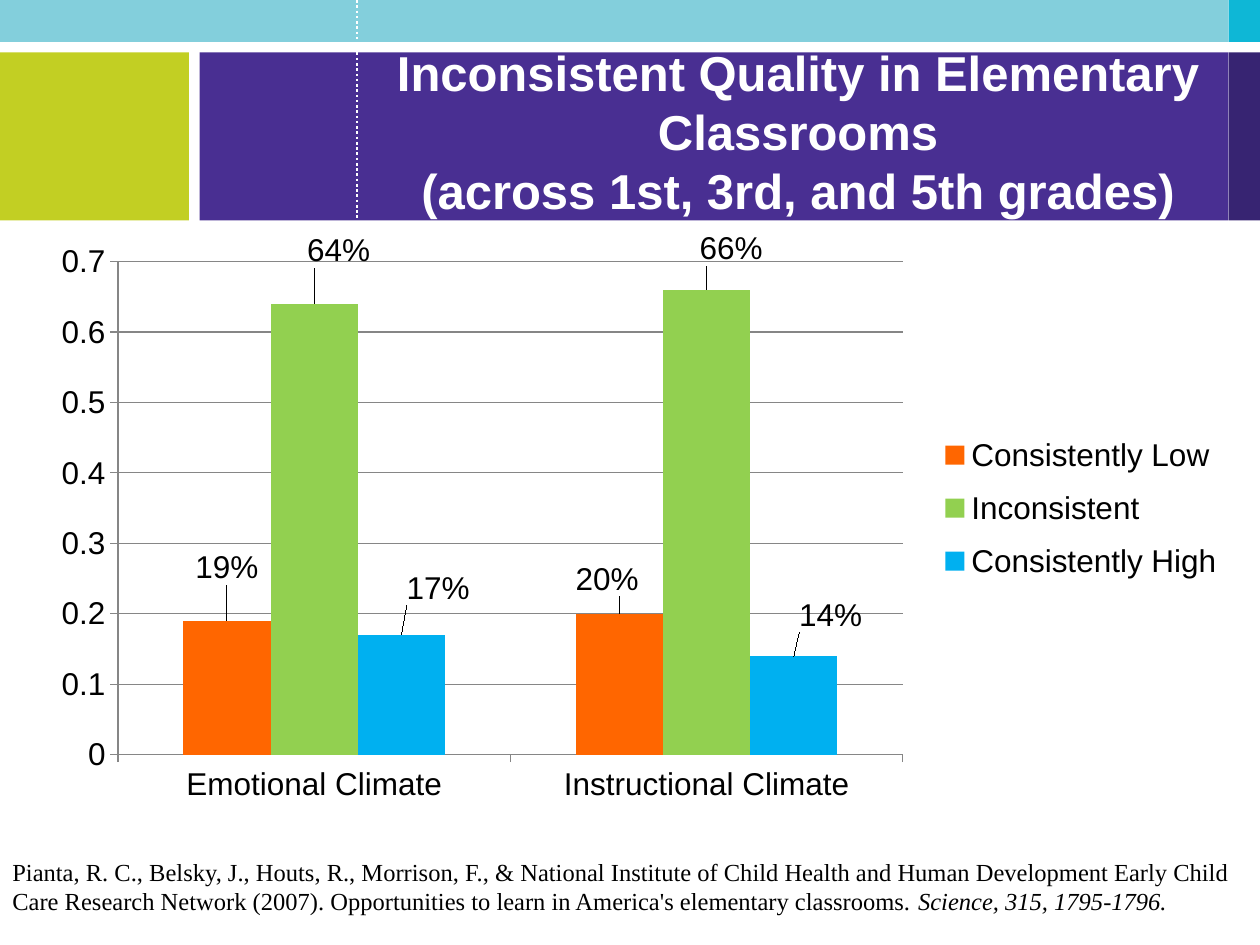
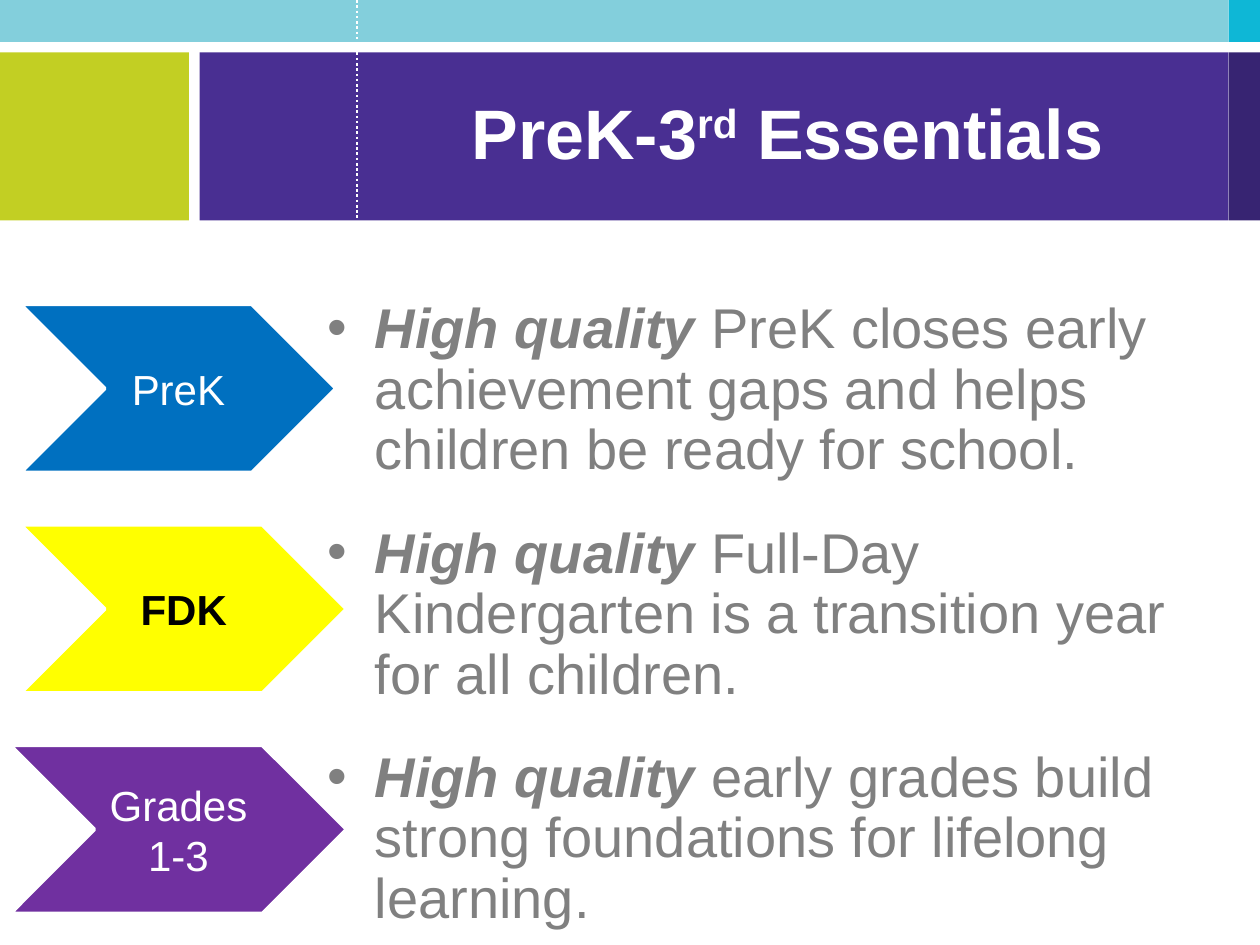
import dataclasses

import pptx
import pptx.chart.data
import pptx.dml.color
import pptx.enum.chart
import pptx.enum.dml
import pptx.enum.shapes
import pptx.enum.text
import pptx.oxml
import pptx.oxml.ns
import pptx.util

Pt = pptx.util.Pt
KIND = pptx.enum.shapes.MSO_SHAPE


@dataclasses.dataclass(frozen=True)
class Theme:
    sky: str = "83CFDC"
    cyan: str = "0EB7D6"
    night: str = "372472"
    violet: str = "492F92"
    lime: str = "C2CF23"
    white: str = "FFFFFF"
    black: str = "000000"
    grey: str = "808080"
    rule: str = "868686"
    bars: tuple = ("FF6600", "92D050", "00B0F0")
    steps: tuple = ("0070C0", "FFFF00", "7030A0")
    sans: str = "Arial"
    serif: str = "Times New Roman"
    head: int = 40
    long: int = 28
    body: int = 32
    step: int = 24
    chart: int = 18
    cite: int = 14


THEME = Theme()


@dataclasses.dataclass(frozen=True)
class Box:
    """A rectangle in points."""
    x: float
    y: float
    w: float
    h: float

    def emu(self):
        return Pt(self.x), Pt(self.y), Pt(self.w), Pt(self.h)


PAGE = Box(0, 0, 720, 540)


def rgb(code):
    return pptx.dml.color.RGBColor.from_string(code)


def style(font, size, color, face=THEME.sans, bold=False, slant=False):
    font.name, font.size = face, Pt(size)
    font.bold, font.italic = bold, slant
    font.color.rgb = rgb(color)


def move(shape, box):
    shape.left, shape.top, shape.width, shape.height = box.emu()


def block(slide, kind, box, fill, edge=None):
    shape = slide.shapes.add_shape(kind, *box.emu())
    shape.shadow.inherit = False
    shape.fill.solid()
    shape.fill.fore_color.rgb = rgb(fill)
    if edge:
        shape.line.color.rgb = rgb(edge)
        shape.line.width = Pt(2)
    else:
        shape.line.fill.background()
    return shape


def dots(slide, x, top, foot):
    line = slide.shapes.add_connector(
        pptx.enum.shapes.MSO_CONNECTOR.STRAIGHT, Pt(x), Pt(top), Pt(x), Pt(foot))
    line.line.color.rgb = rgb(THEME.white)
    line.line.width = Pt(1.5)
    line.line.dash_style = pptx.enum.dml.MSO_LINE.ROUND_DOT
    props = line.element.spPr
    props.append(props.makeelement(pptx.oxml.ns.qn("a:effectLst")))
    return line


def frame(deck, slide, box):
    """Draw the bands and hand them to the master, below its placeholders."""
    edge = box.x + box.w - 18
    top, head = box.y, box.y + 30
    bands = [
        (Box(box.x, top, edge - box.x, 24), THEME.sky),
        (Box(edge, top, 18, 24), THEME.cyan),
        (Box(edge, head, 18, 96), THEME.night),
        (Box(box.x + 114, head, edge - box.x - 114, 96), THEME.violet),
        (Box(box.x, head, 108, 96), THEME.lime),
    ]
    parts = [block(slide, KIND.RECTANGLE, *band) for band in bands]
    parts += [dots(slide, box.x + 204, y, y + h) for y, h in ((head, 96), (top, 24))]
    tree = deck.slide_master.shapes.element
    for i, part in enumerate(parts):
        part.element.xpath(".//p:cNvPr")[0].set("id", str(100 + i))
        tree.insert(2 + i, part.element)


def title(slide, box, parts, size):
    """Write the title; parts are (text, raised) pairs."""
    shape = slide.shapes.title
    move(shape, box)
    text = shape.text_frame
    text.auto_size = pptx.enum.text.MSO_AUTO_SIZE.NONE
    text.vertical_anchor = pptx.enum.text.MSO_ANCHOR.MIDDLE
    para = text.paragraphs[0]
    para.alignment = pptx.enum.text.PP_ALIGN.CENTER
    for i, (words, raised) in enumerate(parts):
        if i == 0:
            para.text = words
        else:
            para.add_run().text = words
        for run in para.runs[i:] if i else para.runs:
            style(run.font, size, THEME.white, bold=True)
            if raised:
                run._r.get_or_add_rPr().set("baseline", "30000")


def place(parent, after, x, y, w=None, h=None):
    """Insert a manual chart layout behind the named child."""
    for old in parent.findall(pptx.oxml.ns.qn("c:layout")):
        parent.remove(old)
    pairs = [("x", x), ("y", y)]
    if w:
        pairs = [("xMode", "edge"), ("yMode", "edge"), *pairs, ("w", w), ("h", h)]
        if after is None:
            pairs.insert(0, ("layoutTarget", "inner"))
    inner = "".join(f'<c:{tag} val="{val}"/>' for tag, val in pairs)
    node = pptx.oxml.parse_xml(
        f'<c:layout {pptx.oxml.ns.nsdecls("c")}>'
        f"<c:manualLayout>{inner}</c:manualLayout></c:layout>")
    if after is None:
        parent.insert(0, node)
    else:
        parent.find(pptx.oxml.ns.qn(after)).addnext(node)


def axes(chart):
    for axis in (chart.category_axis, chart.value_axis):
        axis.major_tick_mark = pptx.enum.chart.XL_TICK_MARK.OUTSIDE
        axis.format.line.color.rgb = rgb(THEME.rule)
    value = chart.value_axis
    value.minimum_scale, value.maximum_scale, value.major_unit = 0, 0.7, 0.1
    value.tick_labels.number_format = "General"
    value.tick_labels.number_format_is_linked = False
    value.major_gridlines.format.line.color.rgb = rgb(THEME.rule)


def labels(chart, shifts):
    """Show percentages, each shifted from its bar by a part of the chart."""
    for series in chart.plots[0].series:
        marks = series.data_labels
        marks.show_value = True
        marks.number_format, marks.number_format_is_linked = "0%", False
        marks.position = pptx.enum.chart.XL_LABEL_POSITION.OUTSIDE_END
        for i in range(len(series.values)):
            mark = series.points[i].data_label
            style(mark.font, THEME.chart, THEME.black)
            mark.position = marks.position
    for node, shift in zip(chart.element.xpath(".//c:dLbl"), shifts):
        place(node, "c:idx", *shift)
        form = pptx.oxml.parse_xml(
            f'<c:numFmt {pptx.oxml.ns.nsdecls("c")} formatCode="0%" sourceLinked="0"/>')
        node.find(pptx.oxml.ns.qn("c:layout")).addnext(form)


def graph(slide, box, cats, rows, shifts):
    data = pptx.chart.data.CategoryChartData()
    data.categories = cats
    for name, vals in rows:
        data.add_series(name, vals)
    chart = slide.shapes.add_chart(
        pptx.enum.chart.XL_CHART_TYPE.COLUMN_CLUSTERED, *box.emu(), data).chart
    style(chart.font, THEME.chart, THEME.black)
    chart.has_title = False
    chart.has_legend = True
    chart.legend.position = pptx.enum.chart.XL_LEGEND_POSITION.RIGHT
    chart.legend.include_in_layout = False
    style(chart.legend.font, THEME.chart, THEME.black)
    plot = chart.plots[0]
    plot.gap_width, plot.overlap, plot.vary_by_categories = 150, 0, False
    for series, color in zip(plot.series, THEME.bars):
        series.format.fill.solid()
        series.format.fill.fore_color.rgb = rgb(color)
    axes(chart)
    labels(chart, shifts)
    place(chart.element.xpath(".//c:plotArea")[0], None, 0.096, 0.05, 0.639, 0.81)
    place(chart.element.xpath(".//c:legend")[0], "c:legendPos", 0.76, 0.31, 0.24, 0.29)


def cite(slide, box, words, source):
    text = slide.shapes.add_textbox(*box.emu()).text_frame
    text.word_wrap = True
    para = text.paragraphs[0]
    para.text = words
    para.add_run().text = source
    for run, slant in zip(para.runs, (False, True)):
        style(run.font, THEME.cite, THEME.black, THEME.serif, slant=slant)


def points(slide, box, lead, items):
    shape = slide.placeholders[1]
    move(shape, box)
    text = shape.text_frame
    text.auto_size = pptx.enum.text.MSO_AUTO_SIZE.NONE
    text.text = "\n".join([lead] * len(items))
    for para, item in zip(text.paragraphs, items):
        para.line_spacing = 0.9
        para.space_after = Pt(18)
        para.add_run().text = item
        for run, strong in zip(para.runs, (True, False)):
            style(run.font, THEME.body, THEME.grey, bold=strong, slant=strong)


def steps(slide, box, items):
    """Stack chevrons; items are (text, left inset, right inset, colour, bold)."""
    pitch = 126
    for i, (words, left, right, color, bold) in enumerate(items):
        spot = Box(box.x + left, box.y + i * pitch, box.w - left - right, 96)
        shape = block(slide, KIND.CHEVRON, spot, THEME.steps[i], THEME.white)
        text = shape.text_frame
        text.text = words
        text.word_wrap = True
        text.vertical_anchor = pptx.enum.text.MSO_ANCHOR.MIDDLE
        para = text.paragraphs[0]
        para.alignment = pptx.enum.text.PP_ALIGN.CENTER
        style(para.runs[0].font, THEME.step, color, bold=bold)


def quality(slide, box):
    title(slide, Box(box.x + 210, box.y + 30, 492, 90), [
        ("Inconsistent Quality in Elementary Classrooms\n"
         "(across 1st, 3rd, and 5th grades)", False)], THEME.long)
    graph(slide, Box(box.x, box.y + 132, 702, 348),
          ["Emotional Climate", "Instructional Climate"],
          [("Consistently Low", (0.19, 0.2)),
           ("Inconsistent", (0.64, 0.66)),
           ("Consistently High", (0.17, 0.14))],
          [(0, -0.05), (-0.01, -0.02), (0.02, -0.05),
           (0.02, -0.03), (0.03, -0.04), (0.03, -0.03)])
    cite(slide, Box(box.x, box.y + 486, box.w, 48),
         "Pianta, R. C., Belsky, J., Houts, R., Morrison, F., & National Institute of "
         "Child Health and Human Development Early Child Care Research Network (2007). "
         "Opportunities to learn in America's elementary classrooms. ",
         "Science, 315, 1795-1796.")


def basics(slide, box):
    title(slide, Box(box.x + 216, box.y + 30, 468, 90),
          [("PreK-3", False), ("rd", True), (" Essentials", False)], THEME.head)
    points(slide, Box(box.x + 180, box.y + 168, 522, 330), "High quality ", [
        "PreK closes early achievement gaps and helps children be ready for school.",
        "Full-Day Kindergarten is a transition year for all children.",
        "early grades build strong foundations for lifelong learning."])
    steps(slide, Box(box.x + 6, box.y + 174, 192, 348), [
        ("PreK", 6, 6, THEME.white, False),
        ("FDK", 6, 0, THEME.black, True),
        ("Grades 1-3", 0, 0, THEME.white, False)])


def main():
    deck = pptx.Presentation()
    deck.slide_width, deck.slide_height = Pt(PAGE.w), Pt(PAGE.h)
    first = deck.slides.add_slide(deck.slide_layouts[5])
    frame(deck, first, PAGE)
    quality(first, PAGE)
    basics(deck.slides.add_slide(deck.slide_layouts[1]), PAGE)
    deck.save("out.pptx")


if __name__ == "__main__":
    main()
